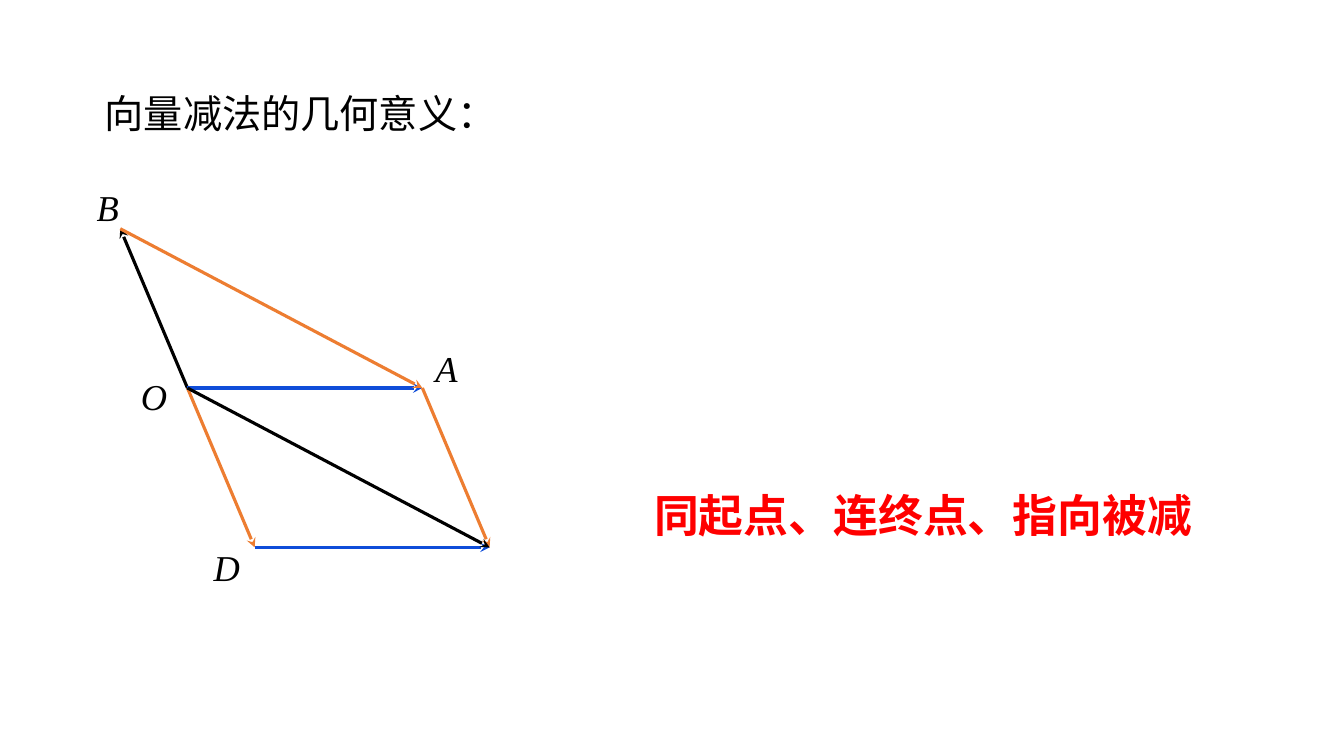
from dataclasses import dataclass
from pptx import Presentation
from pptx.dml.color import RGBColor as Rgb
from pptx.enum.shapes import MSO_CONNECTOR as Conn
from pptx.enum.text import MSO_ANCHOR as Anchor, MSO_AUTO_SIZE as Fit, PP_ALIGN as Align
from pptx.oxml.ns import qn
from pptx.util import Inches, Pt
from lxml.etree import SubElement as Sub


@dataclass(frozen=True)
class Theme:
    face: str = "Times New Roman"
    ink: str = "000000"
    blue: str = "0F4DD9"
    warm: str = "ED7D31"
    red: str = "FF0000"
    head: int = 28
    mark: int = 26
    note: int = 32
    line: float = 2.25


class Board:
    """Draws on one slide, with places given in percent of its width and height."""

    def __init__(self, deck, theme):
        self.deck, self.theme = deck, theme
        self.slide = deck.slides.add_slide(deck.slide_layouts[5])

    def scale(self, x, y):
        return int(self.deck.slide_width * x / 100), int(self.deck.slide_height * y / 100)

    def fill(self, shape, text, size, color, **style):
        frame = shape.text_frame
        for key, val in dict(word_wrap=True, auto_size=Fit.NONE, vertical_anchor=Anchor.TOP).items():
            setattr(frame, key, val)
        para = frame.paragraphs[0]
        run = para.add_run()
        run.text = text
        for key, val in dict(name=self.theme.face, size=Pt(size), **style).items():
            setattr(run.font, key, val)
        run.font.color.rgb = Rgb.from_string(color)
        return para

    def title(self, text, spot, area):
        shape = self.slide.shapes.title
        shape.left, shape.top = self.scale(*spot)
        shape.width, shape.height = self.scale(*area)
        para = self.fill(shape, text, self.theme.head, self.theme.ink)
        para.alignment, para.line_spacing = Align.JUSTIFY, 1.1

    def label(self, text, spot, area, size, color, **style):
        box = self.slide.shapes.add_textbox(*self.scale(*spot), *self.scale(*area))
        self.fill(box, text, size, color, **style)

    def arrow(self, start, end, color):
        line = self.slide.shapes.add_connector(
            Conn.STRAIGHT, *self.scale(*start), *self.scale(*end))
        line.line.width = Pt(self.theme.line)
        line.line.color.rgb = Rgb.from_string(color)
        props = line._element.spPr
        Sub(props.find(qn("a:ln")), qn("a:tailEnd"), type="stealth")
        Sub(props, qn("a:effectLst"))


def main():
    deck = Presentation()
    deck.slide_width, deck.slide_height = Inches(13.33), Inches(7.5)
    theme = Theme()
    board = Board(deck, theme)
    board.title("向量减法的几何意义：", (7.05, 10.53), (74, 8.53))

    ox, oy = 13.95, 51.33
    run, lean, rise = 17.48, 5, 21.07
    o, a, b = (ox, oy), (ox + run, oy), (ox - lean, oy - rise)
    d, c = (ox + lean, oy + rise), (ox + run + lean, oy + rise)
    for start, end, color in (
        (d, c, theme.blue), (o, d, theme.warm), (o, b, theme.ink), (o, a, theme.blue),
        (a, c, theme.warm), (b, a, theme.warm), (o, c, theme.ink),
    ):
        board.arrow(start, end, color)

    for name, spot in dict(O=(9.75, 48.8), A=(31.65, 45.07), B=(6.45, 23.87), D=(15.15, 71.47)).items():
        board.label(name, spot, (5.63, 7.2), theme.mark, theme.ink, italic=True)
    board.label("同起点、连终点、指向被减", (47.93, 63.87), (50, 8.53), theme.note, theme.red, bold=True)
    deck.save("out.pptx")


if __name__ == "__main__":
    main()
